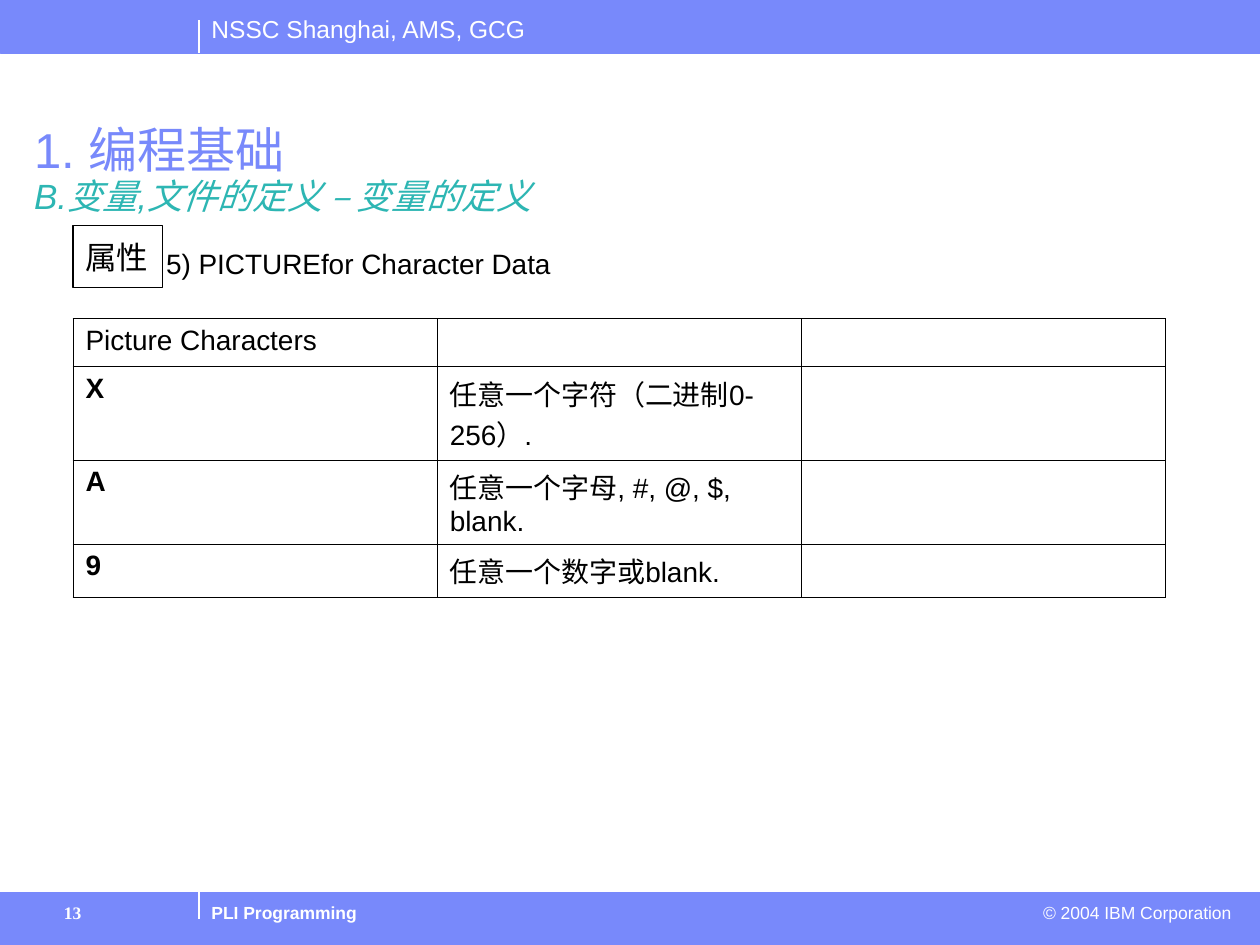
from lxml import etree
from pptx import Presentation, util as u
from pptx.dml.color import RGBColor
from pptx.enum import shapes, text
from pptx.oxml.ns import qn

BLUE, TEAL, WHITE, BLACK = "7889FB", "2DB6B3", "FFFFFF", "000000"
I = u.Inches


def rgb(value):
    return RGBColor.from_string(value)


def add_run(p, value, size=16, color=BLACK, font="Arial", bold=False, italic=False):
    r = p.add_run()
    r.text = value
    f = r.font
    f.name, f.size, f.bold, f.italic = font, u.Pt(size), bold, italic
    f.color.rgb = rgb(color)


def add_text(s, box, value, align=text.PP_ALIGN.LEFT, **fmt):
    tf = s.shapes.add_textbox(*map(I, box)).text_frame
    tf.word_wrap = True
    p = tf.paragraphs[0]
    p.alignment = align
    add_run(p, value, **fmt)
    return p


def add_rect(s, box, fill=None, line=BLACK, width=0.75):
    sp = s.shapes.add_shape(shapes.MSO_SHAPE.RECTANGLE, *map(I, box))
    sp.shadow.inherit = False
    if fill:
        sp.fill.solid()
        sp.fill.fore_color.rgb = rgb(fill)
    else:
        sp.fill.background()
    sp.line.color.rgb = rgb(line)
    sp.line.width = u.Pt(width)
    return sp


def add_band(s, box, divider_top, divider_bottom):
    add_rect(s, box, BLUE, BLUE, 0.25)
    ends = (1.58, divider_top, 1.58, divider_bottom)
    line = s.shapes.add_connector(shapes.MSO_CONNECTOR.STRAIGHT, *map(I, ends))
    line.line.color.rgb = rgb(WHITE)
    line.line.width = u.Pt(0.75)
    etree.SubElement(line._element.spPr, qn("a:effectLst"))


def add_header(s, box):
    left, top, width, height = box
    add_band(s, box, top + 0.16, top + height)
    add_text(s, (left + 1.58, top + 0.06, 3, 0.34), "NSSC Shanghai, AMS, GCG",
             size=14, color=WHITE)


def add_footer(s, box):
    left, top, width, height = box
    add_band(s, box, top, top + 0.21)
    y = top + 0.03
    add_text(s, (left + 0.41, y, 0.86, 0.35), "13", size=10, color=WHITE,
             font="Times New Roman", bold=True)
    add_text(s, (left + 1.58, y, 4.6, 0.27), "PLI Programming", size=10, color=WHITE, bold=True)
    add_text(s, (left + width - 3.78, y, 3.65, 0.27), "© 2004 IBM Corporation",
             align=text.PP_ALIGN.RIGHT, size=10, color=WHITE)


def set_title(s, box):
    sp = s.shapes.title
    sp.left, sp.top, sp.width, sp.height = map(I, box)
    tf = sp.text_frame
    tf.auto_size = text.MSO_AUTO_SIZE.NONE
    tf.vertical_anchor = text.MSO_ANCHOR.TOP
    tf.word_wrap = True
    p = tf.paragraphs[0]
    p.alignment = text.PP_ALIGN.LEFT
    p.line_spacing = 0.9
    add_run(p, "1. 编程基础", size=28, color=BLUE)
    p.add_line_break()
    add_run(p, "B.变量,文件的定义 – 变量的定义", size=20, color=TEAL, italic=True)


def add_topic(s, box):
    left, top, width, height = box
    p = add_text(s, (left + 0.64, top + 0.15, 3.93, 0.36), "5) PICTUREfor Character Data")
    p.line_spacing = 0.9
    tf = add_rect(s, (left, top, 0.71, height)).text_frame
    tf.word_wrap = False
    tf.vertical_anchor = text.MSO_ANCHOR.MIDDLE
    tf.paragraphs[0].alignment = text.PP_ALIGN.LEFT
    add_run(tf.paragraphs[0], "属性", size=18)


def set_borders(cell, color, width):
    tc_pr = cell._tc.get_or_add_tcPr()
    for i, side in enumerate(("lnL", "lnR", "lnT", "lnB")):
        ln = etree.Element(qn(f"a:{side}"), w=str(u.Pt(width)))
        fill = etree.SubElement(ln, qn("a:solidFill"))
        etree.SubElement(fill, qn("a:srgbClr"), val=color)
        tc_pr.insert(i, ln)


def add_characters_table(s, box):
    rows = [
        ("Picture Characters", "", ""),
        ("X", "任意一个字符（二进制0- 256）.", ""),
        ("A", "任意一个字母, #, @, $, blank.", ""),
        ("9", "任意一个数字或blank.", ""),
    ]
    tbl = s.shapes.add_table(len(rows), 3, *map(I, box)).table
    tbl.first_row = tbl.horz_banding = False
    for col in tbl.columns:
        col.width = I(box[2] / 3)
    for row, height in zip(tbl.rows, (0.38, 0.74, 0.67, 0.42)):
        row.height = I(height)
    for i, values in enumerate(rows):
        for j, value in enumerate(values):
            cell = tbl.cell(i, j)
            cell.fill.background()
            set_borders(cell, BLACK, 0.45)
            p = cell.text_frame.paragraphs[0]
            if value:
                add_run(p, value, bold=i > 0 and j == 0)
            else:
                etree.SubElement(p._p, qn("a:endParaRPr"), sz="1600")


def main():
    prs = Presentation()
    prs.slide_width, prs.slide_height = I(10), I(7.5)
    s = prs.slides.add_slide(prs.slide_layouts[5])
    add_header(s, (0, 0, 10, 0.42))
    add_footer(s, (0, 7.08, 10, 0.42))
    set_title(s, (0.17, 0.95, 9.02, 0.55))
    add_topic(s, (0.58, 1.79, 4.57, 0.49))
    add_characters_table(s, (0.58, 2.53, 8.67, 2.21))
    prs.save("out.pptx")


if __name__ == "__main__":
    main()
